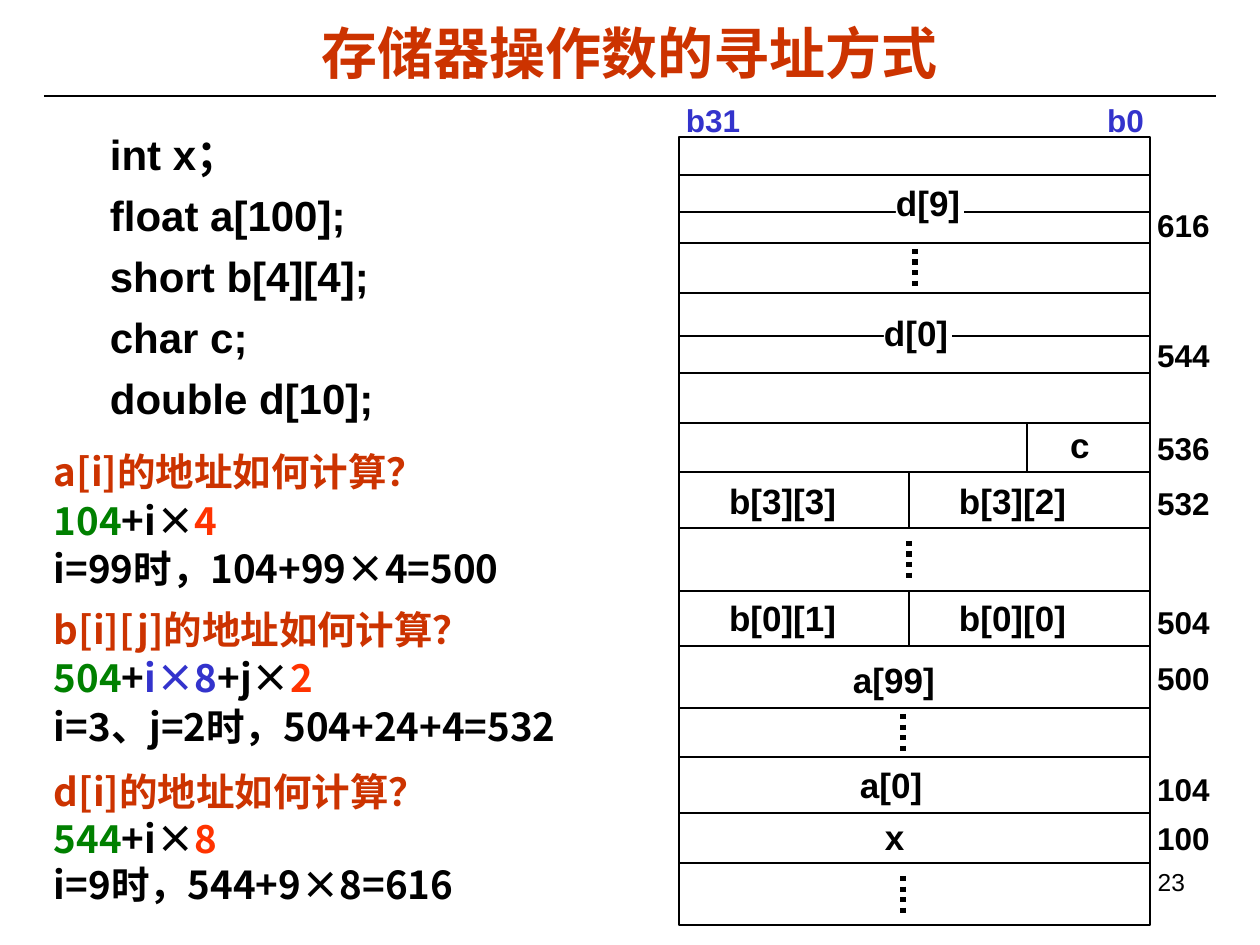
from lxml import etree
from pptx import Presentation
from pptx import util as u
from pptx.dml.color import RGBColor
from pptx.enum import dml, shapes, text
from pptx.oxml import ns

PX = u.Inches(1) / 126
BLACK = RGBColor(0x00, 0x00, 0x00)
WHITE = RGBColor(0xFF, 0xFF, 0xFF)
RUST = RGBColor(0xCC, 0x33, 0x00)
RED = RGBColor(0xFF, 0x33, 0x00)
GREEN = RGBColor(0x00, 0x80, 0x00)
BLUE = RGBColor(0x33, 0x33, 0xCC)
CJK = "Noto Sans CJK SC"

presentation = Presentation()
presentation.slide_width = round(1260 * PX)
presentation.slide_height = round(945 * PX)
slide = presentation.slides.add_slide(presentation.slide_layouts[5])


def add_line(x1, y1, x2, y2, width=0.75, dash=None):
    ends = [round(value * PX) for value in (x1, y1, x2, y2)]
    line = slide.shapes.add_connector(shapes.MSO_CONNECTOR.STRAIGHT, *ends)
    line.line.color.rgb = BLACK
    line.line.width = u.Pt(width)
    if dash:
        line.line.dash_style = dash
    etree.SubElement(line._element.spPr, ns.qn("a:effectLst"))


def add_text(box, paragraphs, size, shape=None, name="Arial", bold=True,
             align=text.PP_ALIGN.LEFT, anchor=text.MSO_ANCHOR.TOP, margin=13):
    """Fill a box with paragraphs, each a list of (words, colour) runs."""
    left, top, width, height = [round(value * PX) for value in box]
    shape = shape or slide.shapes.add_textbox(left, top, width, height)
    shape.left, shape.top, shape.width, shape.height = left, top, width, height
    frame = shape.text_frame
    settings = {"word_wrap": True, "vertical_anchor": anchor,
                "margin_left": round(margin * PX), "margin_right": round(margin * PX),
                "margin_top": round(6 * PX), "margin_bottom": round(6 * PX)}
    for key, value in settings.items():
        setattr(frame, key, value)
    for index, runs in enumerate(paragraphs):
        paragraph = frame.add_paragraph() if index else frame.paragraphs[0]
        paragraph.alignment = align
        for words, colour in runs:
            run = paragraph.add_run()
            run.text = words
            for key, value in {"name": name, "size": u.Pt(size), "bold": bold}.items():
                setattr(run.font, key, value)
            run.font.color.rgb = colour
            etree.SubElement(run._r.get_or_add_rPr(), ns.qn("a:ea"), typeface=CJK)
    return shape


# Title and rule
add_line(44, 96, 1216, 96)
add_text((63, 14, 1134, 77), [[("存储器操作数的寻址方式", RUST)]], 32,
         shape=slide.shapes.title, align=text.PP_ALIGN.CENTER,
         anchor=text.MSO_ANCHOR.MIDDLE)

# Declarations
declarations = ["int x；", "float a[100];", "short b[4][4];", "char c;", "double d[10];"]
shape = add_text((97, 123, 428, 314), [[(words, BLACK)] for words in declarations], 24)
for index, paragraph in enumerate(shape.text_frame.paragraphs):
    paragraph.line_spacing = u.Pt(28.8)
    paragraph.space_before = u.Pt(6 if index else 0)

# Address calculations
calculations = [
    [("a[i]的地址如何计算？", RUST)],
    [("104", GREEN), ("+i×", BLACK), ("4", RED)],
    [("i=99时，104+99×4=500", BLACK)],
    [("b[i][j]的地址如何计算？", RUST)],
    [("504", GREEN), ("+", BLACK), ("i×8", BLUE), ("+j×", BLACK), ("2", RED)],
    [("i=3、j=2时，504+24+4=532", BLACK)],
    [("d[i]的地址如何计算？", RUST)],
    [("544", GREEN), ("+i×", BLACK), ("8", RED)],
    [("i=9时，544+9×8=616", BLACK)],
]
gaps = [0, 1.4, 1.4, 8.2, 1.4, 1.4, 11, 0, 0]
shape = add_text((41, 442, 590, 472), calculations, 22, name=CJK)
for paragraph, gap in zip(shape.text_frame.paragraphs, gaps):
    paragraph.line_spacing = u.Pt(26.4)
    paragraph.space_before = u.Pt(gap)

# Memory frame
LEFT, TOP, RIGHT, BOTTOM = 679, 137, 1150, 925
memory = slide.shapes.add_shape(
    shapes.MSO_SHAPE.RECTANGLE,
    *[round(value * PX) for value in (LEFT, TOP, RIGHT - LEFT, BOTTOM - TOP)])
memory.shadow.inherit = False
memory.fill.solid()
memory.fill.fore_color.rgb = WHITE
memory.line.color.rgb = BLACK
memory.line.width = u.Pt(0.75)

# Lines that run behind the names of the double cells
for y in (212, 336):
    add_line(LEFT, y, RIGHT, y)
for words, left, top in (("d[0]", 884, 305), ("d[9]", 896, 175)):
    shape = add_text((left, top, 68, 55), [[(words, BLACK)]], 20, margin=0)
    shape.fill.solid()
    shape.fill.fore_color.rgb = WHITE

# Row borders, cell dividers and dotted gaps
for y in (175, 243, 293, 373, 423, 472, 528, 591, 646, 708, 757, 813, 863):
    add_line(LEFT, y, RIGHT, y)
for x, y1, y2 in ((1027, 423, 472), (909, 472, 528), (909, 591, 646)):
    add_line(x, y1, x, y2)
for x, y in ((915, 249), (909, 541), (903, 714), (903, 876)):
    add_line(x, y, x, y + 37, 3, dml.MSO_LINE.ROUND_DOT)

# Bit numbers, with the low bit on a right tab
shape = add_text((673, 95, 503, 50), [[("b31\tb0", BLUE)]], 18)
properties = shape.text_frame.paragraphs[0]._p.get_or_add_pPr()
tabs = etree.SubElement(properties, ns.qn("a:tabLst"))
etree.SubElement(tabs, ns.qn("a:tab"), pos=str(round(458 * PX)), algn="r")

# Cell names
cells = [("b[3][3]", 716, 473, 155), ("b[3][2]", 946, 473, 155),
         ("b[0][1]", 716, 590, 155), ("b[0][0]", 946, 590, 155),
         ("c", 1057, 417, 55), ("a[99]", 840, 652, 112),
         ("a[0]", 847, 757, 112), ("x", 872, 809, 55)]
for words, left, top, width in cells:
    add_text((left, top, width, 55), [[(words, BLACK)]], 20)

# Addresses
addresses = {616: 200, 544: 330, 536: 423, 532: 478, 504: 597, 500: 653, 104: 764, 100: 813}
for address, top in addresses.items():
    add_text((1144, top, 81, 50), [[(str(address), BLACK)]], 18)

# Page number
add_text((904, 861, 294, 66), [[("23", BLACK)]], 14, bold=False,
         align=text.PP_ALIGN.RIGHT)

presentation.save("out.pptx")
